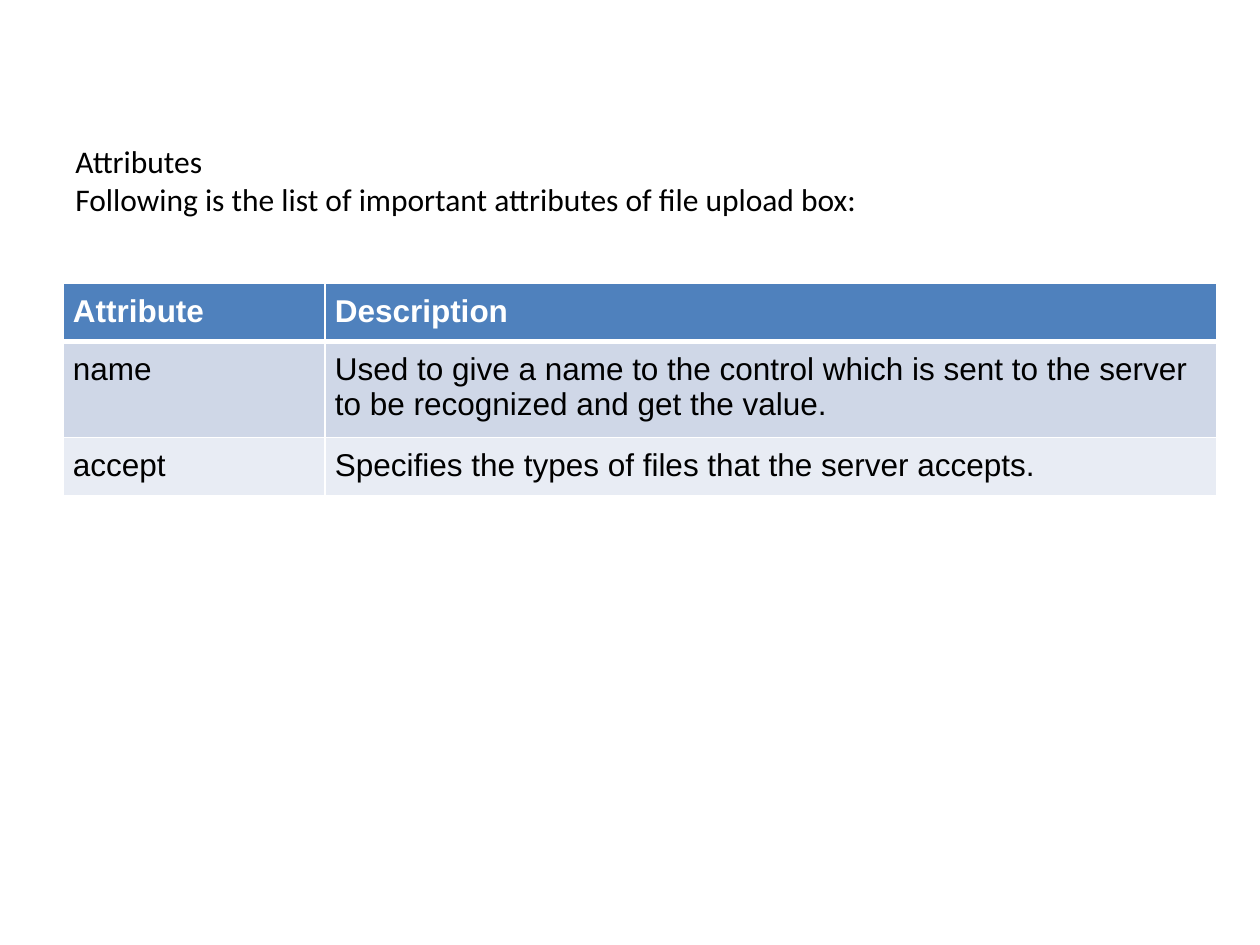
from lxml import etree
from pptx import Presentation
from pptx.dml.color import RGBColor
from pptx.oxml.ns import qn
from pptx.util import Cm, Pt

# Content
INTRO = [
    "Attributes",
    "Following is the list of important attributes of file upload box:",
]
ATTRIBUTES = [
    ("Attribute", "Description"),
    ("name", "Used to give a name to the control which is sent to the server "
             "to be recognized and get the value."),
    ("accept", "Specifies the types of files that the server accepts."),
]

THEME = {
    "intro": {"name": "Calibri", "size": Pt(18), "color": "000000"},
    "header": {"name": "Arial", "size": Pt(18), "bold": True, "color": "FFFFFF"},
    "body": {"name": "Arial", "size": Pt(18), "bold": False, "color": "000000"},
    "header_fill": "4F81BD",
    "band_fills": ["CFD7E7", "E8ECF4"],
    "border": "FFFFFF",
    "border_width": Pt(1),
    "header_rule": Pt(3),
}

# Layout
LEFT = Cm(1.27)
INTRO_TOP, INTRO_WIDTH, INTRO_HEIGHT = Cm(2.74), Cm(23.29), Cm(3.33)
TABLE_TOP = Cm(5.72)
COLUMN_WIDTHS = [Cm(5.28), Cm(17.98)]
ROW_HEIGHTS = [Cm(1.17), Cm(1.93), Cm(1.17)]
CELL_MARGINS = dict.fromkeys(
    ("margin_left", "margin_top", "margin_right", "margin_bottom"), Cm(0.2))


def apply_font(run, style):
    for key, value in style.items():
        if key == "color":
            run.font.color.rgb = RGBColor.from_string(value)
        else:
            setattr(run.font, key, value)


def add_borders(cell, widths):
    properties = cell._tc.get_or_add_tcPr()
    for position, (side, width) in enumerate(widths.items()):
        line = etree.Element(qn(f"a:ln{side}"), w=str(width))
        solid = etree.SubElement(line, qn("a:solidFill"))
        etree.SubElement(solid, qn("a:srgbClr"), val=THEME["border"])
        properties.insert(position, line)


def add_intro(slide):
    intro = slide.shapes.add_textbox(LEFT, INTRO_TOP, INTRO_WIDTH, INTRO_HEIGHT)
    frame = intro.text_frame
    frame.word_wrap = True
    frame.text = "\n".join(INTRO)
    for paragraph in frame.paragraphs:
        apply_font(paragraph.runs[0], THEME["intro"])


def add_attributes(slide):
    attributes = slide.shapes.add_table(
        len(ATTRIBUTES), len(COLUMN_WIDTHS), LEFT, TABLE_TOP,
        sum(COLUMN_WIDTHS), sum(ROW_HEIGHTS)).table
    for column, width in zip(attributes.columns, COLUMN_WIDTHS):
        column.width = width
    for row, height in zip(attributes.rows, ROW_HEIGHTS):
        row.height = height

    bands = THEME["band_fills"]
    for r, entry in enumerate(ATTRIBUTES):
        style = THEME["body" if r else "header"]
        fill = bands[(r - 1) % len(bands)] if r else THEME["header_fill"]
        # The thick rule is shared by the header and the first body row
        borders = dict.fromkeys("LRTB", THEME["border_width"])
        if r < 2:
            borders["T" if r else "B"] = THEME["header_rule"]
        for c, wording in enumerate(entry):
            cell = attributes.cell(r, c)
            cell.text = wording
            apply_font(cell.text_frame.paragraphs[0].runs[0], style)
            for key, value in CELL_MARGINS.items():
                setattr(cell, key, value)
            cell.fill.solid()
            cell.fill.fore_color.rgb = RGBColor.from_string(fill)
            add_borders(cell, borders)


def main():
    deck = Presentation()
    deck.slide_width, deck.slide_height = Cm(25.4), Cm(19.05)
    slide = deck.slides.add_slide(deck.slide_layouts[6])
    add_intro(slide)
    add_attributes(slide)
    deck.save("out.pptx")


if __name__ == "__main__":
    main()
